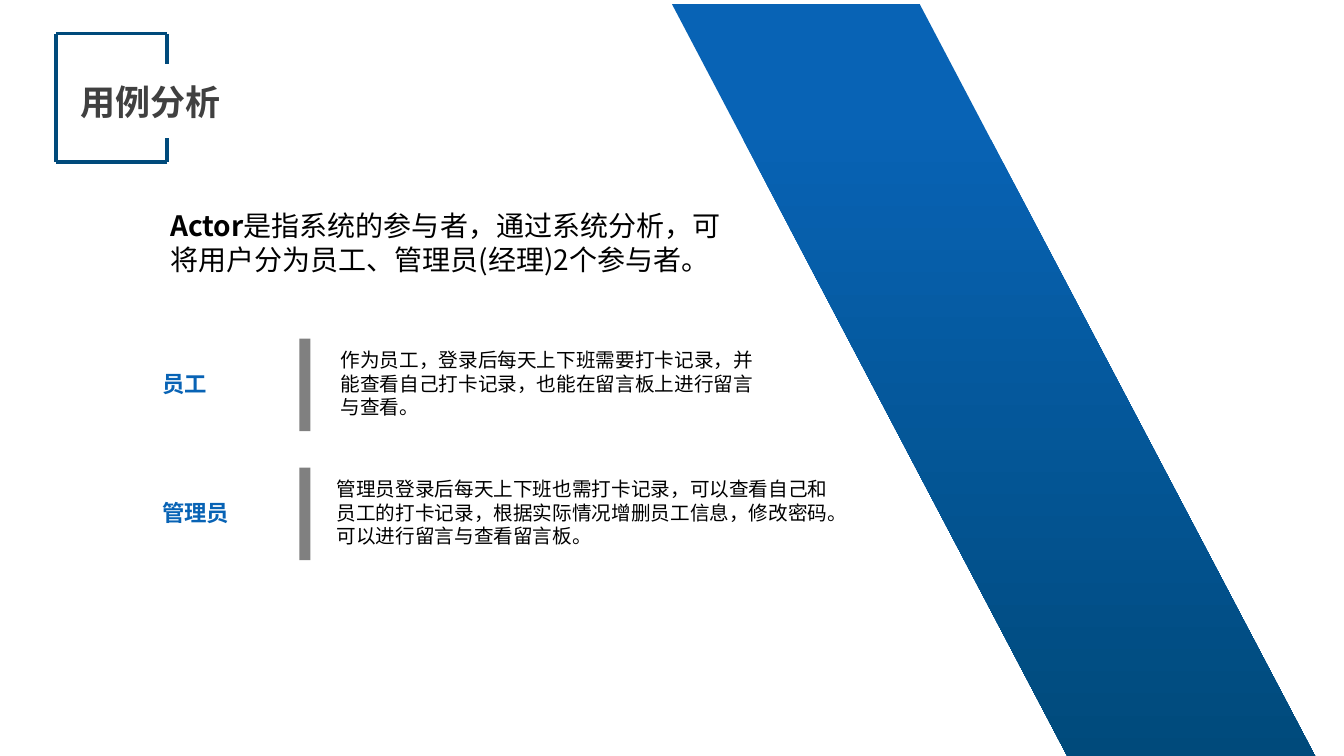
from dataclasses import dataclass

from lxml import etree
from pptx import Presentation
from pptx.dml.color import RGBColor
from pptx.enum.shapes import MSO_CONNECTOR, MSO_SHAPE
from pptx.enum.text import MSO_ANCHOR, MSO_AUTO_SIZE, PP_ALIGN
from pptx.oxml.ns import qn
from pptx.util import Inches, Pt

RECT, PARALLELOGRAM = MSO_SHAPE.RECTANGLE, MSO_SHAPE.PARALLELOGRAM
STRAIGHT = MSO_CONNECTOR.STRAIGHT
LEFT, JUSTIFY = PP_ALIGN.LEFT, PP_ALIGN.JUSTIFY
TOP, FIT_SHAPE = MSO_ANCHOR.TOP, MSO_AUTO_SIZE.SHAPE_TO_FIT_TEXT

FONT = "Noto Sans CJK SC"
BLUE, NAVY, GREY, DARK, BLACK = "0863B5", "004A7B", "808080", "404040", "000000"

prs = Presentation()
prs.slide_width, prs.slide_height = Inches(13.33), Inches(7.5)
slide = prs.slides.add_slide(prs.slide_layouts[6])

# Grid: 40 columns by 22.5 rows of square cells
CELL = prs.slide_width / 40


@dataclass
class Box:
    col: float
    row: float
    cols: float
    rows: float

    def emu(self) -> tuple[int, ...]:
        return tuple(grid(n) for n in (self.col, self.row, self.cols, self.rows))


@dataclass
class Actor:
    name: str
    duty: str
    row: float
    duty_col: float
    duty_cols: float


def grid(n: float) -> int:
    return round(n * CELL)


def rgb(value: str) -> RGBColor:
    return RGBColor.from_string(value)


def add_text(box: Box, runs: list[tuple[str, bool]], size: float, color: str,
             align: PP_ALIGN = LEFT) -> None:
    tf = slide.shapes.add_textbox(*box.emu()).text_frame
    tf.word_wrap, tf.auto_size, tf.vertical_anchor = True, FIT_SHAPE, TOP
    p = tf.paragraphs[0]
    p.alignment = align
    for text, bold in runs:
        r = p.add_run()
        r.text = text
        r.font.size, r.font.bold, r.font.name = Pt(size), bold, FONT
        r.font.color.rgb = rgb(color)
        etree.SubElement(r.font._element, qn("a:ea"), typeface=FONT)


def add_line(x1: float, y1: float, x2: float, y2: float) -> None:
    line = slide.shapes.add_connector(STRAIGHT, *map(grid, (x1, y1, x2, y2)))
    line.line.color.rgb = rgb(NAVY)
    line.line.width = Pt(2.75)
    etree.SubElement(line._element.spPr, qn("a:effectLst"))


# Slanted gradient band
band = slide.shapes.add_shape(PARALLELOGRAM, *Box(20, 0.12, 19.2, 22.5).emu())
band.adjustments[0] = 0.616
band._element.spPr.find(qn("a:xfrm")).set("flipH", "1")
band.shadow.inherit = False
band.line.fill.background()
band.fill.gradient()
band.fill.gradient_angle = 270
for stop, (position, color) in zip(band.fill.gradient_stops, [(0.15, BLUE), (1, NAVY)]):
    stop.position = position
    stop.color.rgb = rgb(color)

# Title in an open frame
add_text(Box(2.1, 2.25, 5.7, 1.56), [("用例分析", True)], 25, DARK, JUSTIFY)
frame_left, frame_right, frame_top, frame_bottom = 1.66, 4.98, 1, 4.83
add_line(frame_left, frame_top, frame_left, frame_bottom)
for edge, gap in ((frame_top, 1.9), (frame_bottom, 4.1)):
    add_line(frame_right, edge, frame_left, edge)
    add_line(frame_right, edge, frame_right, gap)

# Introduction
add_text(Box(4.77, 6.06, 17.31, 2.31), [
    ("Actor", True),
    ("是指系统的参与者，通过系统分析，可将用户分为员工、管理员(经理)2个参与者。", False),
], 20, BLACK)

# Actors: name, divider bar, duty
ACTORS = [
    Actor("员工", "作为员工，登录后每天上下班需要打卡记录，并能查看自己打卡记录，"
          "也能在留言板上进行留言与查看。", 10.08, 9.84, 13.29),
    Actor("管理员", "管理员登录后每天上下班也需打卡记录，可以查看自己和员工的打卡记录，"
          "根据实际情况增删员工信息，修改密码。可以进行留言与查看留言板。", 13.92, 9.72, 15.51),
]
for actor in ACTORS:
    add_text(Box(4.53, actor.row + 0.78, 3.9, 1.11), [(actor.name, True)], 16, BLUE, JUSTIFY)
    bar = slide.shapes.add_shape(RECT, *Box(8.91, actor.row, 0.33, 2.76).emu())
    bar.shadow.inherit = False
    bar.fill.solid()
    bar.fill.fore_color.rgb = rgb(GREY)
    bar.line.fill.background()
    add_text(Box(actor.duty_col, actor.row + 0.13, actor.duty_cols, 2.43),
             [(actor.duty, False)], 14, BLACK)

prs.save("out.pptx")
